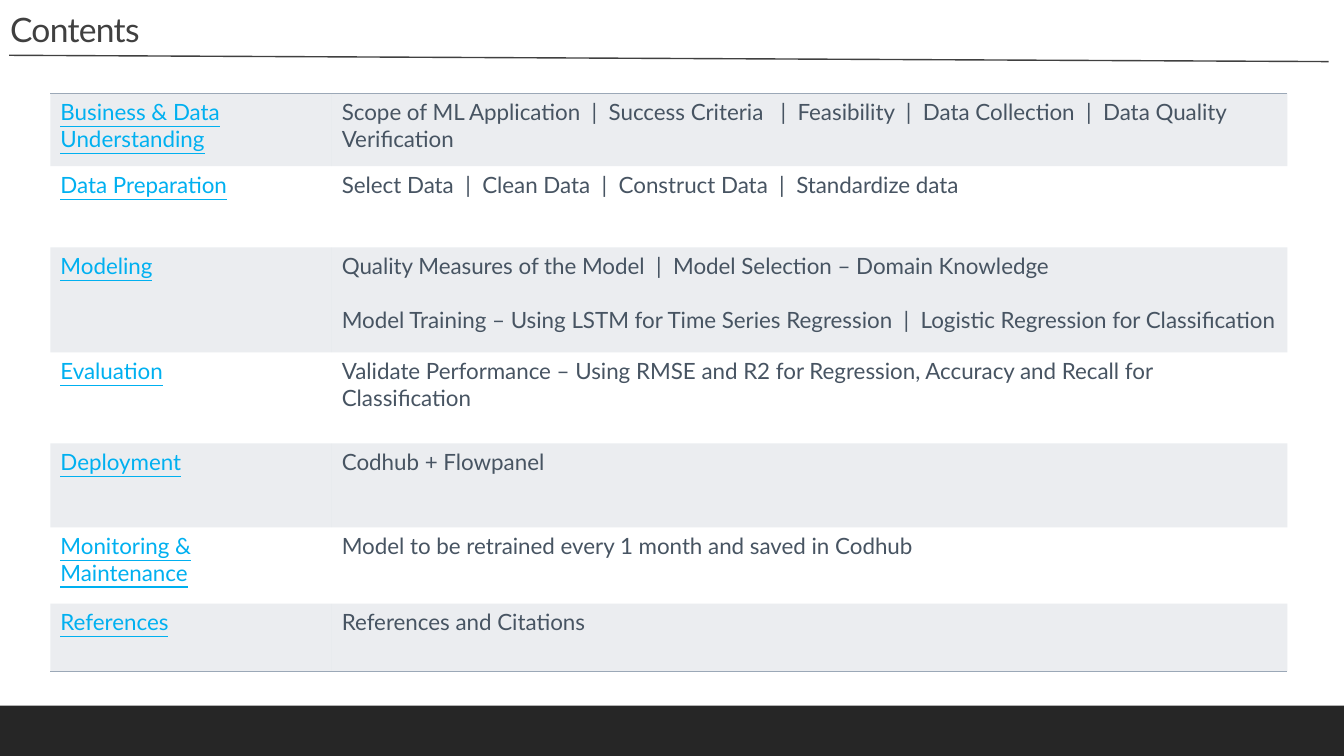
from lxml import etree
from pptx import Presentation
from pptx.dml import color
from pptx.enum import shapes, text
from pptx.oxml import ns
from pptx.util import Pt

FONT = "Lato"
DARK, SLATE, BLUE, BAND = "404040", "475462", "00B0F0", "9BA8B7"
PLAIN = "{2D5ABB26-0587-4C30-8999-92F81FD0307C}"  # no style, no grid

# Topic, row height, paragraphs
ROWS = [
    ("Business & Data Understanding", 52,
     ["Scope of ML Application  |  Success Criteria   |  Feasibility  |  "
      "Data Collection  |  Data Quality Verification"]),
    ("Data Preparation", 58,
     ["Select Data  |  Clean Data  |  Construct Data  |  Standardize data"]),
    ("Modeling", 75,
     ["Quality Measures of the Model  |  Model Selection – Domain Knowledge",
      "Model Training – Using LSTM for Time Series Regression  |  "
      "Logistic Regression for Classification"]),
    ("Evaluation", 65,
     ["Validate Performance – Using RMSE and R2 for Regression, "
      "Accuracy and Recall for Classification"]),
    ("Deployment", 60, ["Codhub + Flowpanel"]),
    ("Monitoring & Maintenance", 54.5,
     ["Model to be retrained every 1 month and saved in Codhub"]),
    ("References", 48.5, ["References and Citations"]),
]


def rgb(code):
    return color.RGBColor.from_string(code)


def sub(node, tag, **attrs):
    return etree.SubElement(node, ns.qn(tag), **attrs)


def write(frame, lines, size=16, ink=SLATE, under=False, gap=0, lead=None, track=None):
    """Fill a text frame, one paragraph a line; gap goes before all but the first."""
    for i, line in enumerate(lines):
        para = frame.add_paragraph() if i else frame.paragraphs[0]
        para.alignment = text.PP_ALIGN.LEFT
        para.space_before = Pt(gap if i else 0)
        if lead:
            para.line_spacing = lead
        run = para.add_run()
        run.text = line
        font = run.font
        font.name, font.size, font.underline = FONT, Pt(size), under
        font.color.rgb = rgb(ink)
        if track:
            run._r.get_or_add_rPr().set("spc", str(int(track * 100)))


def bar(slide, x, y, w, h, fill):
    box = slide.shapes.add_shape(shapes.MSO_SHAPE.RECTANGLE, Pt(x), Pt(y), Pt(w), Pt(h))
    box.shadow.inherit = False
    box.fill.solid()
    box.fill.fore_color.rgb = rgb(fill)
    box.line.fill.background()


def rule(slide, x1, y1, x2, y2, ink):
    line = slide.shapes.add_connector(
        shapes.MSO_CONNECTOR.STRAIGHT, Pt(x1), Pt(y1), Pt(x2), Pt(y2))
    line.line.color.rgb = rgb(ink)
    line.line.width = Pt(1)
    sub(line._element.spPr, "a:effectLst")


def shade(cell, fill, alpha):
    cell.fill.solid()
    cell.fill.fore_color.rgb = rgb(fill)
    tint = cell._tc.tcPr.find(".//" + ns.qn("a:srgbClr"))
    sub(tint, "a:alpha", val=str(alpha * 1000))


def edge(cell, side, ink):
    line = etree.Element(ns.qn("a:ln" + side), w=str(Pt(1)))
    sub(sub(line, "a:solidFill"), "a:srgbClr", val=ink)
    cell._tc.get_or_add_tcPr().insert(0, line)


def grid(slide, x, y, cols):
    high = sum(row[1] for row in ROWS)
    table = slide.shapes.add_table(
        len(ROWS), len(cols), Pt(x), Pt(y), Pt(sum(cols)), Pt(high)).table
    table.first_row = table.horz_banding = False
    table._tbl.tblPr.find(ns.qn("a:tableStyleId")).text = PLAIN
    for col, wide in zip(table.columns, cols):
        col.width = Pt(wide)
    for i, (topic, tall, lines) in enumerate(ROWS):
        table.rows[i].height = Pt(tall)
        left, right = table.rows[i].cells
        write(left.text_frame, [topic], ink=BLUE, under=True)
        write(right.text_frame, lines, gap=19.2)
        for cell in (left, right):
            if i % 2:
                cell.fill.background()
            else:
                shade(cell, BAND, 20)
            if i == 0:
                edge(cell, "T", BAND)
            if i == len(ROWS) - 1:
                edge(cell, "B", BAND)


def head(slide, words):
    title = slide.shapes.title
    title.left, title.top, title.width, title.height = Pt(0), Pt(0), Pt(960), Pt(45)
    title.text_frame.vertical_anchor = text.MSO_ANCHOR.MIDDLE
    write(title.text_frame, [words], size=24, ink=DARK, lead=0.9, track=-0.5)


def main():
    deck = Presentation()
    deck.slide_width, deck.slide_height = Pt(960), Pt(540)
    slide = deck.slides.add_slide(deck.slide_layouts[5])
    # Footer band and title
    bar(slide, 0, 504, 960, 36, "262626")
    head(slide, "Contents")
    # Contents table
    grid(slide, 36, 66.7, [201, 682.5])
    # Line under the title
    rule(slide, 6.5, 39.5, 949, 44, DARK)
    deck.save("out.pptx")


if __name__ == "__main__":
    main()
